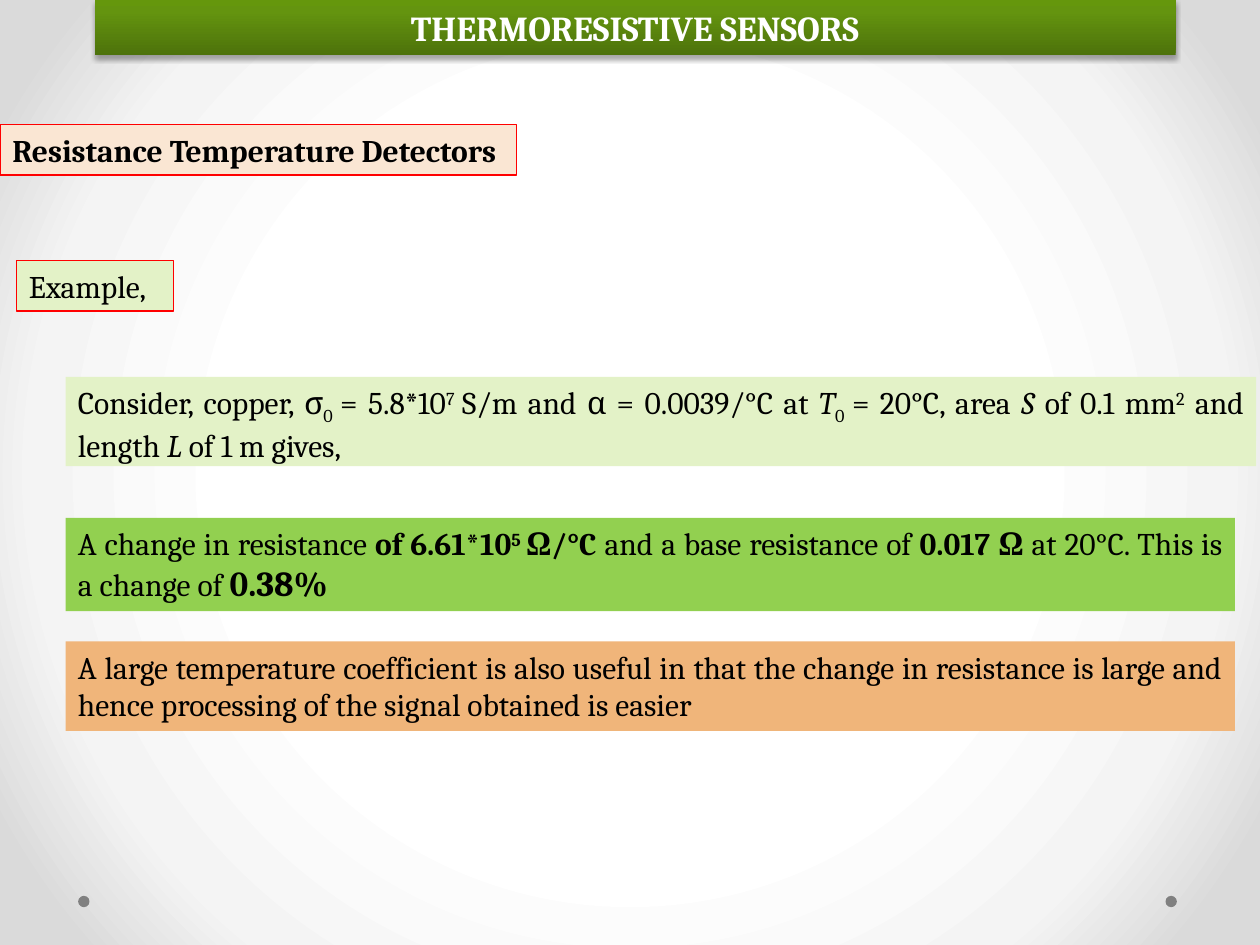
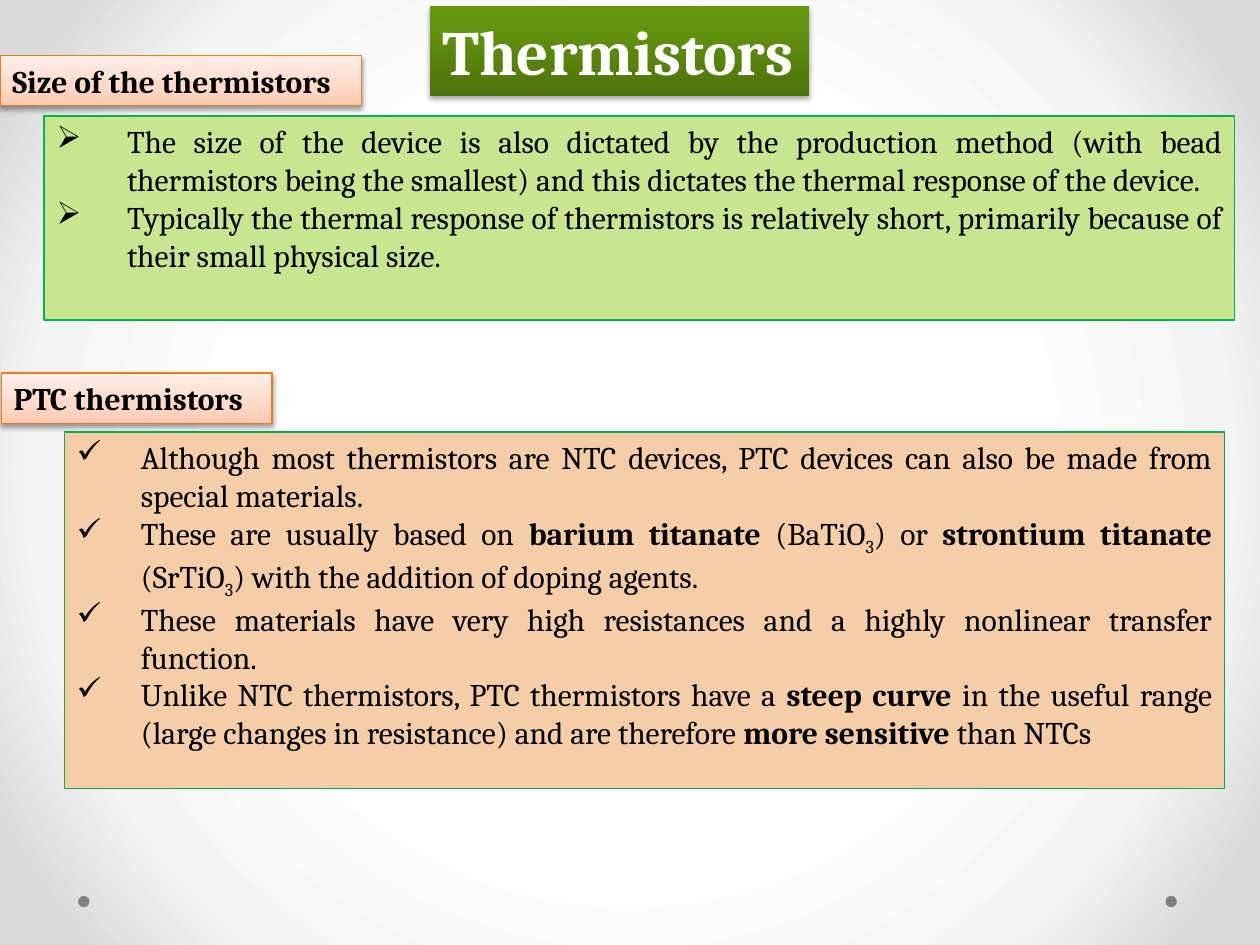
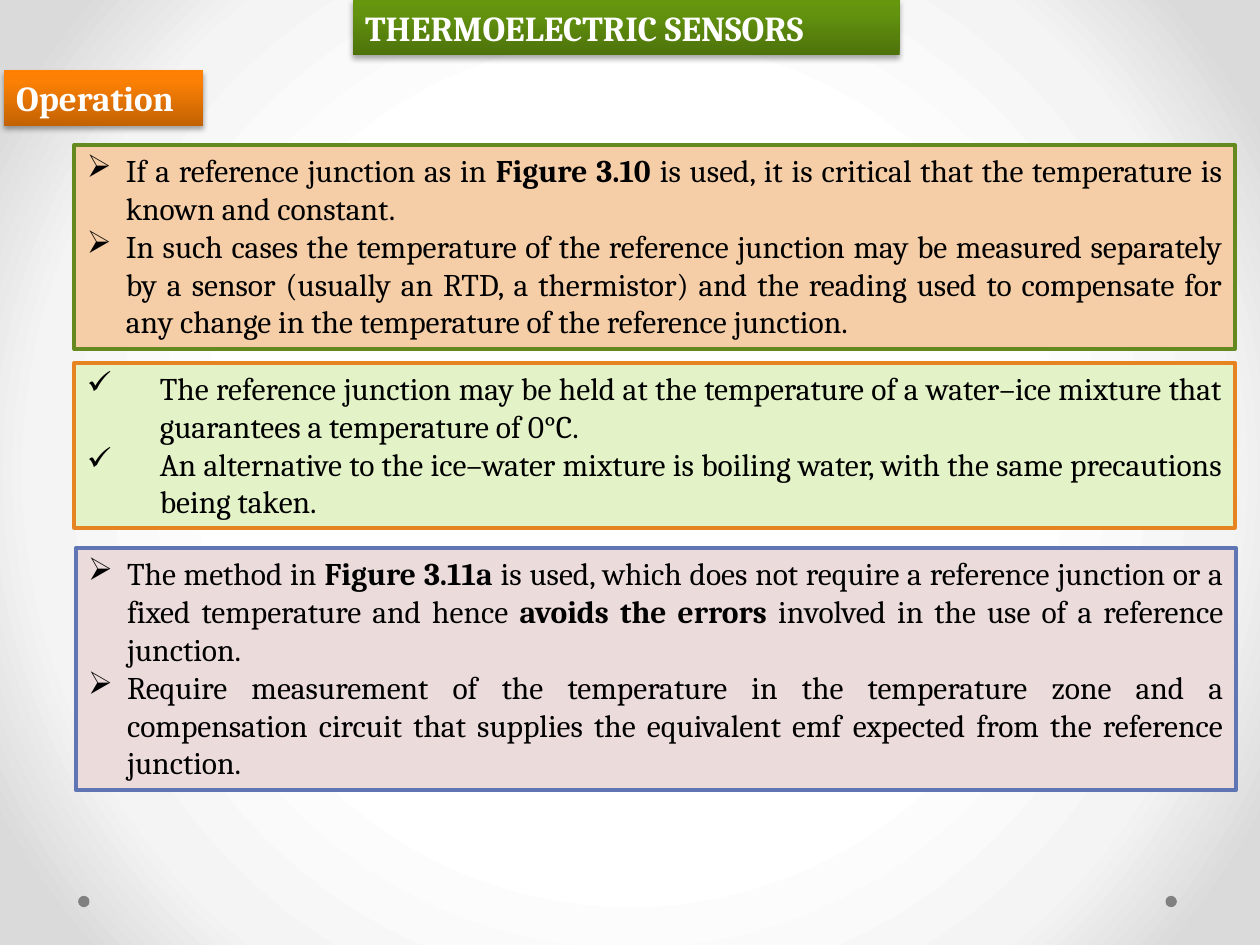
import pptx
import pptx.dml.color
import pptx.enum.shapes
import pptx.enum.text
import pptx.oxml
import pptx.oxml.ns
import pptx.util

Inches = pptx.util.Inches
FONT = "Cambria"
COLORS = {
    "black": "000000", "white": "FFFFFF", "dot": "808080",
    "red": "FF0000", "emerald": "00B050", "orange": "E68422",
    "olive": "63891F", "blue": "6076B4", "tag_edge": "E6811C",
    "pale_green": "E3F2C7", "light_green": "C7E68F", "grass": "92D050",
    "cream": "FAE6D3", "peach": "F5CEA7", "apricot": "F0B57A", "rose": "ECDBDB",
}
# Gradients run from bottom to top, except the backdrop, which runs outwards
GRADIENTS = {
    "backdrop": [(50, "FFFFFF"), (76, "F4F4F4"), (92, "DADADA")],
    "green": [(0, "4D720B"), (80, "64940F"), (100, "65970C")],
    "amber": [(0, "C26203"), (80, "FB8004"), (100, "FF8002")],
    "blush": [(0, "FFC9B1"), (35, "FFD8C8"), (100, "FFF0EA")],
}
UPWARD = '<a:lin {ns} ang="16200000" scaled="0"/>'
OUTWARD = ('<a:path {ns} path="circle">'
           '<a:fillToRect l="50000" t="50000" r="50000" b="50000"/></a:path>')


def xml(template):
    return pptx.oxml.parse_xml(template.replace("{ns}", pptx.oxml.ns.nsdecls("a")))


def rgb(name):
    return pptx.dml.color.RGBColor.from_string(COLORS[name])


def styled(text, **form):
    """One run of text: size, bold, italic, color, baseline (percent)."""
    return text, form


def bold(text, **form):
    return styled(text, bold=True, **form)


def italic(text):
    return styled(text, italic=True)


def sub(text):
    return styled(text, baseline=-25)


def sup(text, **form):
    return styled(text, baseline=30, **form)


class Deck:
    def __init__(self):
        self.prs = pptx.Presentation()
        self.prs.slide_width, self.prs.slide_height = Inches(10), Inches(7.5)
        self.slide = None

    def new_slide(self):
        self.slide = self.prs.slides.add_slide(self.prs.slide_layouts[6])
        self.gradient(self.slide.background.fill, self.slide, "backdrop", OUTWARD)
        for left in (9.25, 0.62):
            self.shape("OVAL", (left, 7.11, 0.09, 0.09), "dot")

    def gradient(self, fill, owner, name, direction=UPWARD):
        fill.gradient()
        grad = owner.element.find(".//" + pptx.oxml.ns.qn("a:gradFill"))
        grad.clear()
        stops = "".join(
            f'<a:gs pos="{at * 1000}"><a:srgbClr val="{color}"/></a:gs>'
            for at, color in GRADIENTS[name])
        grad.append(xml("<a:gsLst {ns}>" + stops + "</a:gsLst>"))
        grad.append(xml(direction))

    def shape(self, kind, at, fill, line=None, weight=0.75):
        shape = self.slide.shapes.add_shape(
            pptx.enum.shapes.MSO_SHAPE[kind], *map(Inches, at))
        shape.shadow.inherit = False
        if fill in GRADIENTS:
            self.gradient(shape.fill, shape, fill)
        else:
            shape.fill.solid()
            shape.fill.fore_color.rgb = rgb(fill)
        if line:
            shape.line.color.rgb = rgb(line)
            shape.line.width = pptx.util.Pt(weight)
        else:
            shape.line.fill.background()
        return shape

    def drop_shadow(self, shape, opacity):
        effects = shape.element.find(".//" + pptx.oxml.ns.qn("a:effectLst"))
        effects.append(xml(
            '<a:outerShdw {ns} blurRad="39000" dist="22000" dir="5400000" rotWithShape="0">'
            f'<a:srgbClr val="{COLORS["black"]}"><a:alpha val="{opacity * 1000}"/>'
            '</a:srgbClr></a:outerShdw>'))

    def fill_text(self, shape, paragraphs, align="LEFT", bullet=None, indent=0, **base):
        frame = shape.text_frame
        frame.word_wrap = True
        frame.vertical_anchor = pptx.enum.text.MSO_ANCHOR.TOP
        for i, runs in enumerate(paragraphs):
            para = frame.add_paragraph() if i else frame.paragraphs[0]
            para.alignment = pptx.enum.text.PP_ALIGN[align]
            if bullet:
                props = para._p.get_or_add_pPr()
                props.set("marL", str(Inches(indent)))
                props.set("indent", str(-Inches(indent)))
                props.append(xml('<a:buChar {ns} char="' + bullet + '"/>'))
            for item in runs:
                text, form = styled(item) if isinstance(item, str) else item
                self.add_run(para, text, **{**base, **form})

    def add_run(self, para, text, size=18, color="black", bold=False,
                italic=False, baseline=0):
        run = para.add_run()
        run.text = text
        font = run.font
        font.name, font.size = FONT, pptx.util.Pt(size)
        font.bold, font.italic = bold, italic
        font.color.rgb = rgb(color)
        if baseline:
            run._r.get_or_add_rPr().set("baseline", str(baseline * 1000))

    def banner(self, text, at, fill="green", size=20, align="LEFT"):
        shape = self.shape("RECTANGLE", at, fill)
        self.drop_shadow(shape, 35)
        self.fill_text(shape, [[text]], align, size=size, color="white", bold=True)

    def tag(self, text, at):
        shape = self.shape("RECTANGLE", at, "blush", "tag_edge")
        self.drop_shadow(shape, 38)
        self.fill_text(shape, [[text]], bold=True)

    def label(self, text, at, fill, **form):
        self.fill_text(self.shape("RECTANGLE", at, fill, "red"), [[text]], **form)

    def panel(self, paragraphs, at, fill, line=None, weight=0.75, **bullets):
        shape = self.shape("RECTANGLE", at, fill, line, weight)
        self.fill_text(shape, paragraphs, "JUSTIFY", **bullets)


def detectors_slide(deck):
    deck.new_slide()
    deck.label("Resistance Temperature Detectors", (0, 0.99, 4.1, 0.4), "cream", bold=True)
    deck.banner("THERMORESISTIVE SENSORS", (0.75, 0, 8.58, 0.44), align="CENTER")
    deck.label("Example,", (0.13, 2.07, 1.25, 0.4), "pale_green")

    # Worked example: given values, result, conclusion
    deck.panel([[
        "Consider, copper, σ", sub("0 "), "= 5.8*10", sup("7 "),
        "S/m and α = 0.0039/°C at ", italic("T"), sub("0 "), "= 20°C, area ",
        italic("S "), "of 0.1 mm", sup("2"), " and length ", italic("L "),
        "of 1 m gives,",
    ]], (0.52, 2.99, 9.45, 0.71), "pale_green")
    deck.panel([[
        "A change in resistance ", bold("of 6.61*10"), sup("5 ", bold=True),
        bold("Ω/°C "), "and a base resistance of ", bold("0.017 Ω "),
        "at 20°C. This is a change of ", bold("0.38%", size=20),
    ]], (0.52, 4.11, 9.28, 0.74), "grass")
    deck.panel([[
        "A large temperature coefficient is also useful in that the change in "
        "resistance is large and hence processing of the signal obtained is easier",
    ]], (0.52, 5.09, 9.28, 0.71), "apricot")


def thermistors_slide(deck):
    deck.new_slide()
    # Size
    deck.panel([
        ["The size of the device is also dictated by the production method (with bead "
         "thermistors being the smallest) and this dictates the thermal response of "
         "the device. "],
        ["Typically the thermal response of thermistors is relatively short, primarily "
         "because of their small physical size."],
    ], (0.35, 0.92, 9.45, 1.62), "light_green", "emerald", bullet="➢", indent=0.56)
    deck.banner("Thermistors", (3.41, 0.05, 3.01, 0.71), size=36)

    # PTC devices
    deck.panel([
        ["Although most thermistors are NTC devices, PTC devices can also be made from "
         "special materials."],
        ["These are usually based on ", bold("barium titanate "), "(BaTiO", sub("3"),
         ") or ", bold("strontium titanate "), "(SrTiO", sub("3"),
         ") with the addition of doping agents."],
        ["These materials have very high resistances and a highly nonlinear transfer "
         "function."],
        ["Unlike NTC thermistors, PTC thermistors have a ", bold("steep curve "),
         "in the useful range (large changes in resistance) and are therefore ",
         bold("more sensitive "), "than NTCs"],
    ], (0.51, 3.43, 9.21, 2.83), "peach", "emerald", bullet="✓", indent=0.51)
    deck.tag("Size of the thermistors", (0, 0.44, 2.87, 0.4))
    deck.tag("PTC thermistors", (0.01, 2.96, 2.15, 0.4))


def thermoelectric_slide(deck):
    deck.new_slide()
    deck.banner("THERMOELECTRIC SENSORS", (2.8, 0, 4.34, 0.44))
    deck.banner("Operation", (0.03, 0.56, 1.58, 0.44), "amber")

    # Reference junction, fixed temperature, compensation
    deck.panel([
        ["If a reference junction as in ", bold("Figure 3.10 "),
         "is used, it is critical that the temperature is known and constant. "],
        ["In such cases the temperature of the reference junction may be measured "
         "separately by a sensor (usually an RTD, a thermistor) and the reading used to "
         "compensate for any change in the temperature of the reference junction."],
    ], (0.59, 1.15, 9.21, 1.62), "peach", "olive", 2.25, bullet="➢", indent=0.31)
    deck.panel([
        ["The reference junction may be held at the temperature of a water–ice mixture "
         "that guarantees a temperature of 0°C."],
        ["An alternative to the ice–water mixture is boiling water, with the same "
         "precautions being taken."],
    ], (0.59, 2.88, 9.21, 1.31), "pale_green", "orange", 2.25, bullet="✓", indent=0.58)
    deck.panel([
        ["The method in ", bold("Figure 3.11a "),
         "is used, which does not require a reference junction or a fixed temperature "
         "and hence ", bold("avoids the errors "),
         "involved in the use of a reference junction."],
        ["Require measurement of the temperature in the temperature zone and a "
         "compensation circuit that supplies the equivalent emf expected from the "
         "reference junction."],
    ], (0.6, 4.35, 9.21, 1.92), "rose", "blue", 2.25, bullet="➢", indent=0.31)


def main():
    deck = Deck()
    detectors_slide(deck)
    thermistors_slide(deck)
    thermoelectric_slide(deck)
    deck.prs.save("out.pptx")


if __name__ == "__main__":
    main()
